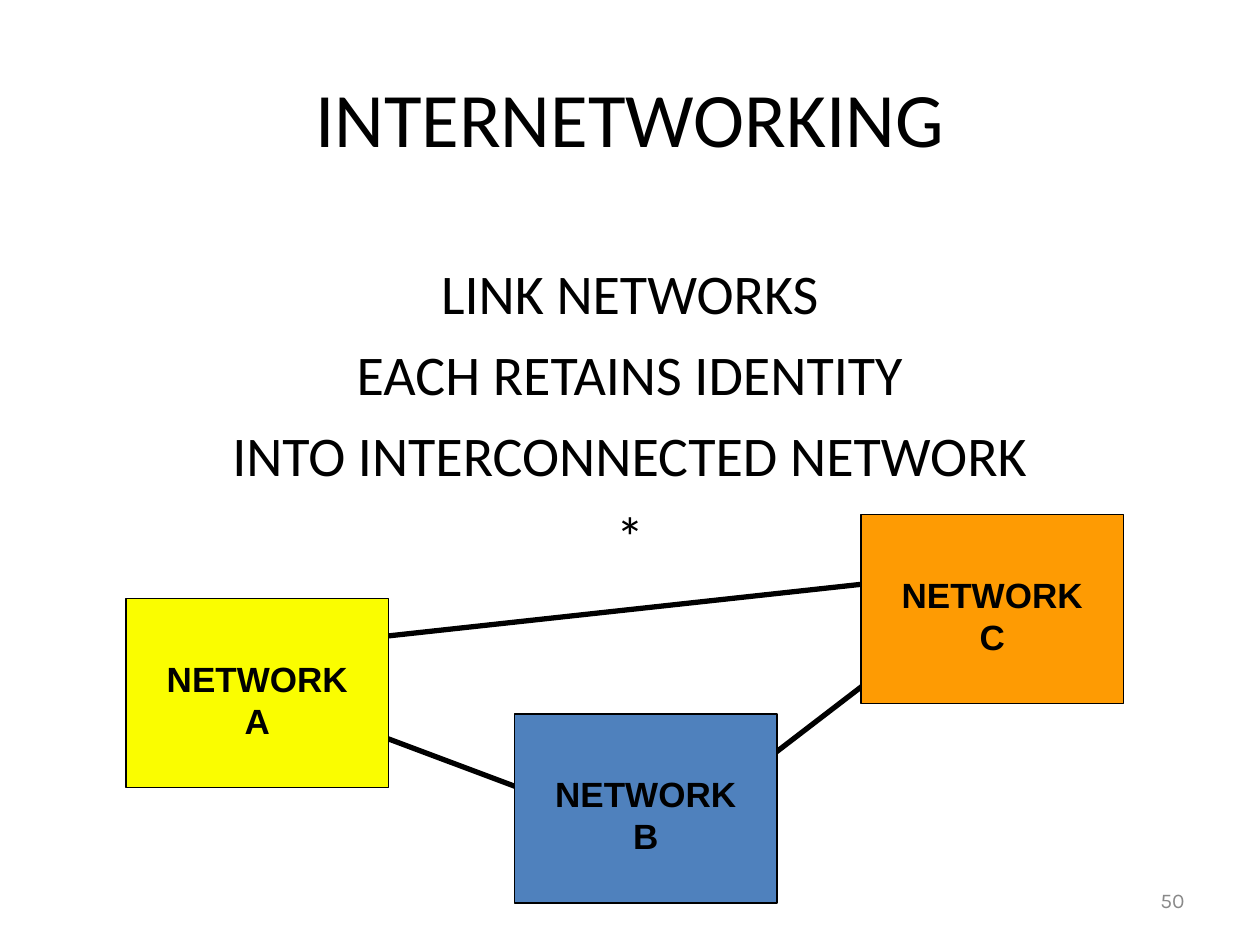
from typing import NamedTuple

from pptx import Presentation
from pptx.dml.color import RGBColor
from pptx.enum.shapes import MSO_CONNECTOR as Link, MSO_SHAPE as Shape
from pptx.enum.text import MSO_ANCHOR as Anchor, PP_ALIGN as Align
from pptx.oxml.ns import qn
from pptx.util import Emu, Pt
from lxml.etree import SubElement

PX = 9525  # 96 px to the inch

BLACK = RGBColor(0x00, 0x00, 0x00)
GREY = RGBColor(0x89, 0x89, 0x89)
YELLOW = RGBColor(0xFA, 0xFD, 0x00)
BLUE = RGBColor(0x4F, 0x81, 0xBD)
ORANGE = RGBColor(0xFE, 0x9B, 0x03)


class Box(NamedTuple):
    left: int
    top: int
    width: int
    height: int


class Style(NamedTuple):
    font: str
    size: int
    color: RGBColor = BLACK
    bold: bool = False
    align: Align = Align.CENTER
    anchor: Anchor = Anchor.TOP
    before: int = 0


class Network(NamedTuple):
    name: str
    left: int
    top: int
    fill: RGBColor
    backed: bool  # the label has a fill of its own


class Wire(NamedTuple):
    x1: int
    y1: int
    x2: int
    y2: int


TITLE = Style("Calibri", 44, anchor=Anchor.MIDDLE)
BODY = Style("Calibri", 32, before=8)
LABEL = Style("Arial", 20, bold=True)
NUMBER = Style("Karla", 12, GREY, align=Align.RIGHT, anchor=Anchor.MIDDLE)

POINTS = [
    "LINK NETWORKS",
    "EACH RETAINS IDENTITY",
    "INTO INTERCONNECTED NETWORK",
    "*",
]
NETWORKS = [
    Network("NETWORK A", 96, 456, YELLOW, True),
    Network("NETWORK B", 392, 544, BLUE, False),
    Network("NETWORK C", 656, 392, ORANGE, True),
]
WIRES = [
    Wire(504, 640, 744, 456),
    Wire(224, 536, 480, 632),
    Wire(264, 488, 704, 440),
]


def scale(lengths: tuple[int, ...]) -> list[Emu]:
    return [Emu(n * PX) for n in lengths]


def add_text(shapes, box: Box, lines: list[str], style: Style):
    shape = shapes.add_textbox(*scale(box))
    frame = shape.text_frame
    frame.word_wrap = True
    frame.vertical_anchor = style.anchor
    for i, line in enumerate(lines):
        para = frame.add_paragraph() if i else frame.paragraphs[0]
        para.alignment = style.align
        if i:
            para.space_before = Pt(style.before)
        run = para.add_run()
        run.text = line
        font = run.font
        font.name = style.font
        font.size = Pt(style.size)
        font.bold = style.bold
        font.color.rgb = style.color
    return shape


def add_wire(shapes, wire: Wire) -> None:
    line = shapes.add_connector(Link.STRAIGHT, *scale(wire))
    line.line.color.rgb = BLACK
    line.line.width = Pt(3)
    SubElement(line._element.spPr, qn("a:effectLst"))


def add_network(shapes, net: Network) -> None:
    block = shapes.add_shape(
        Shape.RECTANGLE, *scale((net.left, net.top, 200, 144))
    )
    block.shadow.inherit = False
    block.fill.solid()
    block.fill.fore_color.rgb = net.fill
    block.line.color.rgb = BLACK
    block.line.width = Pt(1)
    label = add_text(
        shapes, Box(net.left + 12, net.top + 40, 176, 74), [net.name], LABEL
    )
    if net.backed:
        label.fill.solid()
        label.fill.fore_color.rgb = net.fill


def main() -> None:
    deck = Presentation()
    deck.slide_width, deck.slide_height = scale((960, 720))
    slide = deck.slides.add_slide(deck.slide_layouts[6])
    shapes = slide.shapes
    add_text(shapes, Box(48, 29, 864, 120), ["INTERNETWORKING"], TITLE)
    add_text(shapes, Box(72, 192, 816, 432), POINTS, BODY)
    add_text(shapes, Box(688, 667, 224, 38), ["50"], NUMBER)
    diagram = shapes.add_group_shape().shapes
    for wire in WIRES:
        add_wire(diagram, wire)
    for net in NETWORKS:
        add_network(diagram, net)
    deck.save("out.pptx")


if __name__ == "__main__":
    main()
